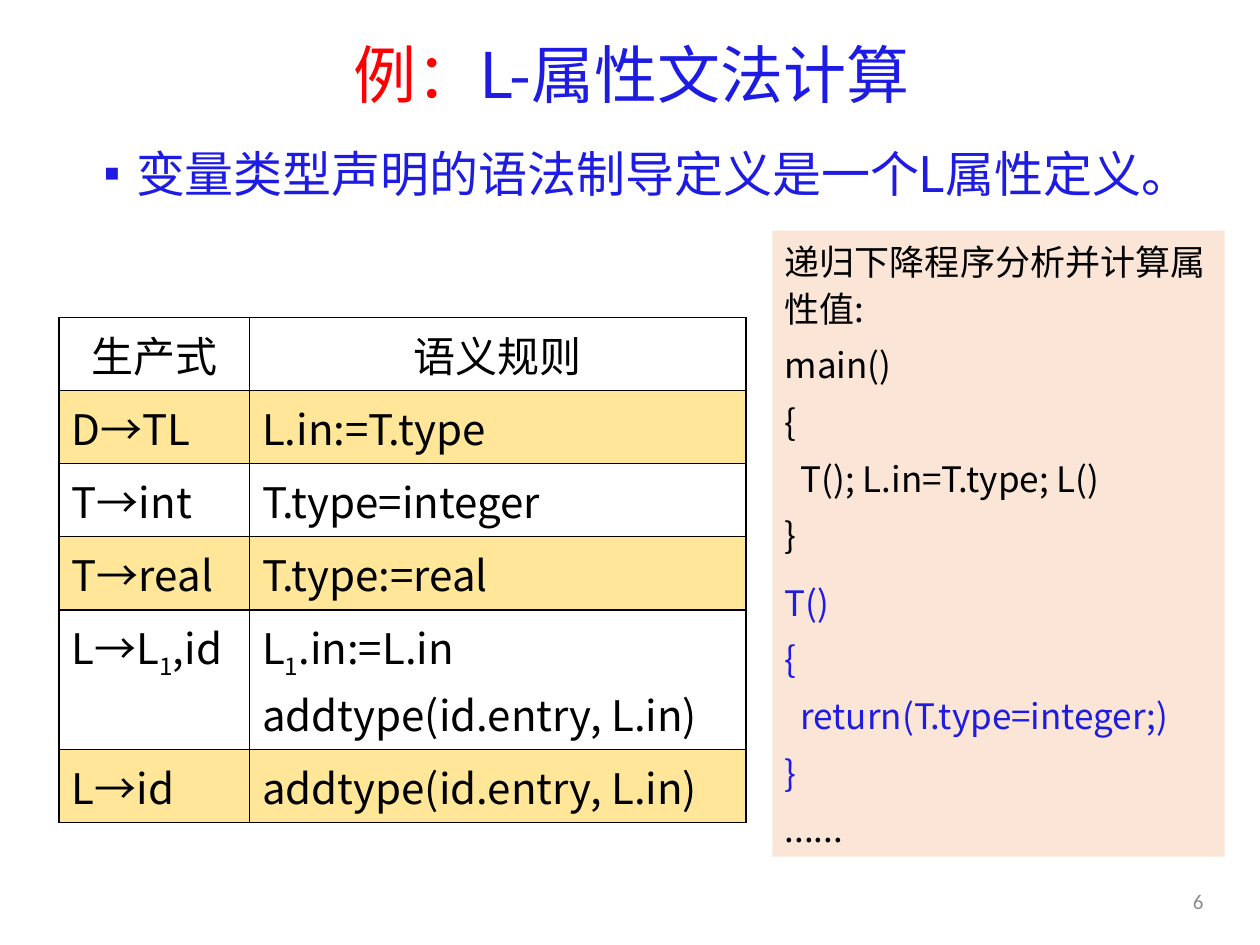
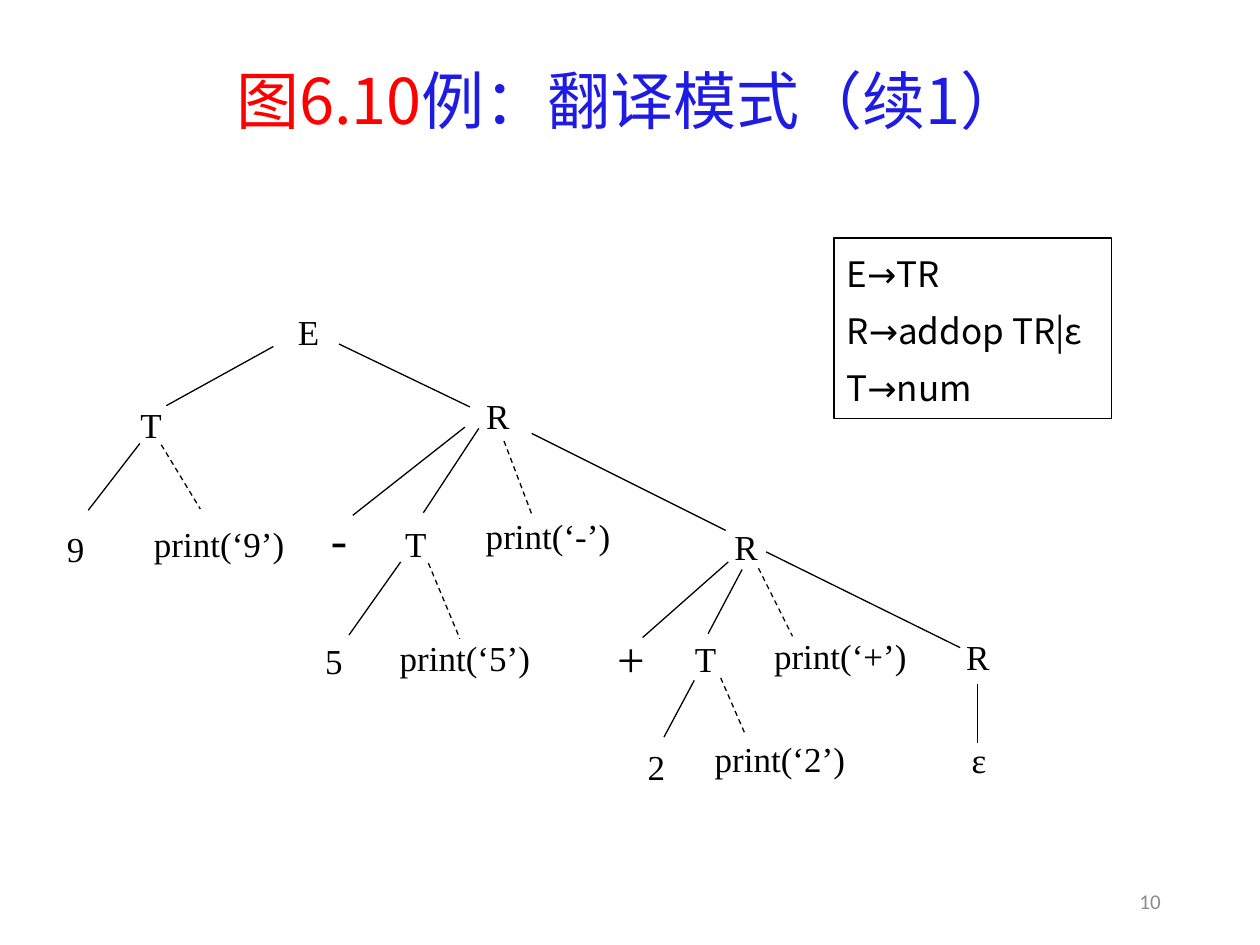
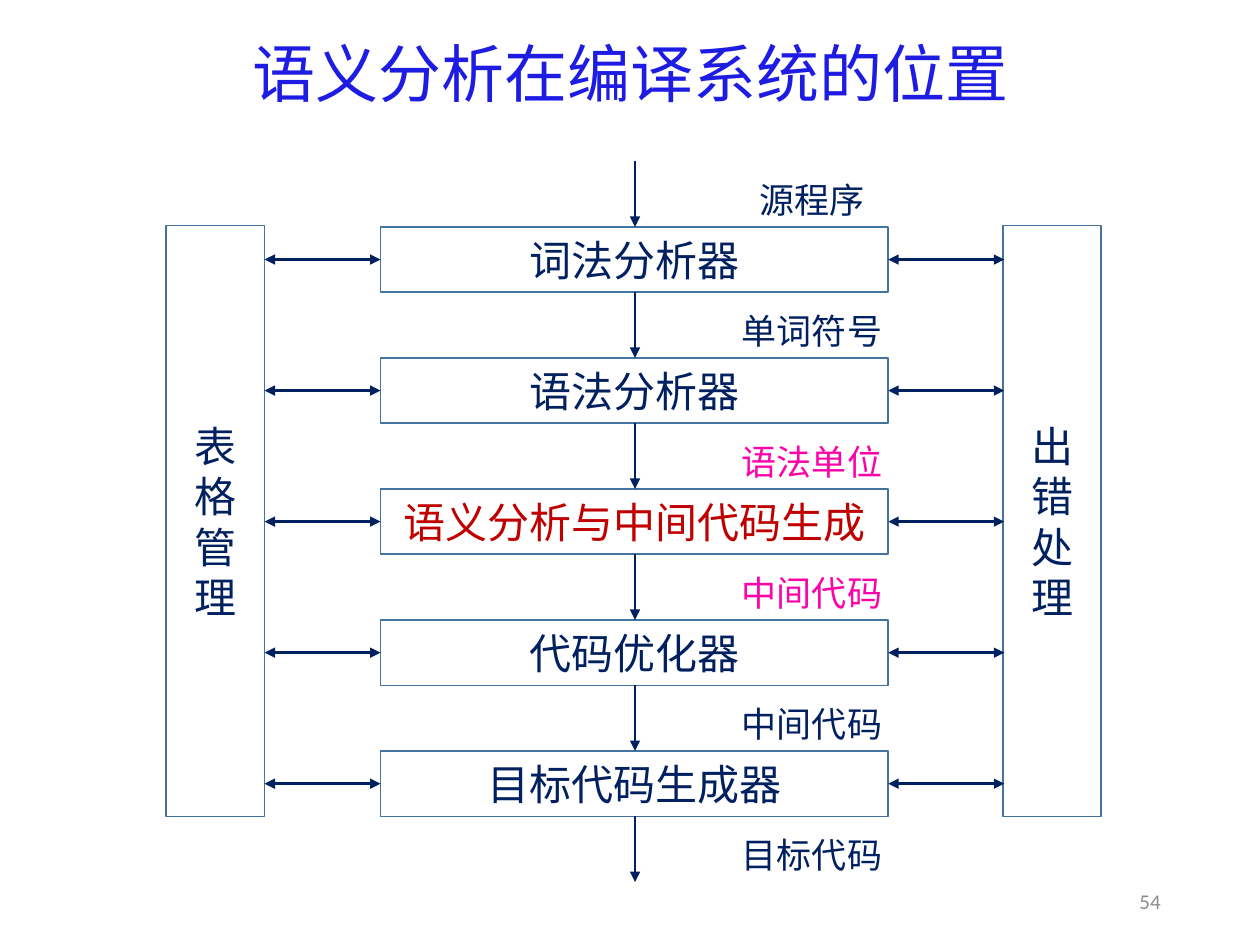
from lxml.etree import SubElement
from pptx import Presentation
from pptx.dml.color import RGBColor
from pptx.enum.dml import MSO_LINE
from pptx.enum.shapes import MSO_CONNECTOR, MSO_SHAPE
from pptx.enum.text import MSO_ANCHOR as ANCHOR, MSO_AUTO_SIZE, PP_ALIGN as ALIGN
from pptx.oxml.ns import qn
from pptx.util import Inches, Pt

# Shared style
BLUE, RED, BLACK, GRAY = "1E1CE3", "FF0000", "000000", "8C8C8C"
NAVY, DARK_RED, PINK, STEEL = "002060", "C00000", "FC02A9", "43739E"
YELLOW, PEACH = "FFE699", "FBE5D6"
HEADING, BODY, SERIF, NUMBER = ("Noto Sans CJK JP", "Noto Sans CJK SC",
                                "Times New Roman", "Calibri")
ARROW_FONT = "Comic Neue"
TITLE_AND_BODY, TITLE_ONLY = 1, 5


def rgb(color):
    return RGBColor.from_string(color)


def set_font(font, size=None, face=None, color=None):
    if size:
        font.size = Pt(size)
    if color:
        font.color.rgb = rgb(color)
    if face:
        font.name = face
        SubElement(font._rPr, qn("a:ea")).set("typeface", face)


def write(frame, lines, size, face, color=BLACK, align=ALIGN.LEFT,
          spacing=None, after=0, bullet=None):
    """Fill a frame; a line is a string or a list of (text, font options)."""
    for index, line in enumerate(lines):
        paragraph = frame.add_paragraph() if index else frame.paragraphs[0]
        paragraph.alignment = align
        paragraph.space_before = Pt(0)
        paragraph.space_after = Pt(after)
        if spacing:
            paragraph.line_spacing = spacing
        if bullet:
            add_bullet(paragraph, bullet)
        set_font(paragraph.font, size, face, color)
        for text, options in [(line, {})] if isinstance(line, str) else line:
            run = paragraph.add_run()
            run.text = text
            set_font(run.font, **options)


def add_bullet(paragraph, character):
    properties = paragraph._p.get_or_add_pPr()
    properties.set("marL", str(Inches(0.25)))
    properties.set("indent", str(-Inches(0.25)))
    SubElement(properties, qn("a:buSzPct")).set("val", "50000")
    SubElement(properties, qn("a:buChar")).set("char", character)


def place(shape, left, top, width, height):
    shape.left, shape.top = Inches(left), Inches(top)
    shape.width, shape.height = Inches(width), Inches(height)
    shape.text_frame.auto_size = MSO_AUTO_SIZE.NONE
    shape.text_frame.word_wrap = True


def add_slide(presentation, layout, title, box, number, number_right):
    """Start a slide with its title and page number."""
    slide = presentation.slides.add_slide(presentation.slide_layouts[layout])
    place(slide.shapes.title, *box)
    frame = slide.shapes.title.text_frame
    frame.vertical_anchor = ANCHOR.MIDDLE
    write(frame, [title], 36, HEADING, BLUE, ALIGN.CENTER, spacing=0.9)
    add_text(slide, (number_right - 0.58, 6.95, 0.58, 0.4), number, 12,
             NUMBER, GRAY, ALIGN.RIGHT)
    return slide


def add_text(slide, box, text, size, face, color=BLACK, align=ALIGN.CENTER,
             wrap=True):
    shape = slide.shapes.add_textbox(*map(Inches, box))
    frame = shape.text_frame
    frame.word_wrap = wrap
    frame.vertical_anchor = ANCHOR.MIDDLE
    write(frame, [text], size, face, color, align)


def add_box(slide, box, fill=None, line=None, line_width=1,
            anchor=ANCHOR.MIDDLE):
    """Add a rectangle and return its text frame."""
    shape = slide.shapes.add_shape(MSO_SHAPE.RECTANGLE, *map(Inches, box))
    shape.shadow.inherit = False
    if fill:
        shape.fill.solid()
        shape.fill.fore_color.rgb = rgb(fill)
    else:
        shape.fill.background()
    if line:
        shape.line.color.rgb = rgb(line)
        shape.line.width = Pt(line_width)
    else:
        shape.line.fill.background()
    frame = shape.text_frame
    frame.word_wrap = True
    frame.vertical_anchor = anchor
    return frame


def add_line(slide, start, end, color=BLACK, width=0.75, dashed=False,
             arrows=()):
    connector = slide.shapes.add_connector(
        MSO_CONNECTOR.STRAIGHT, *map(Inches, (*start, *end)))
    connector.line.color.rgb = rgb(color)
    connector.line.width = Pt(width)
    if dashed:
        connector.line.dash_style = MSO_LINE.DASH
    properties = connector._element.spPr
    for arrow in arrows:
        SubElement(properties.find(qn("a:ln")), qn("a:" + arrow)).set("type", "triangle")
    SubElement(properties, qn("a:effectLst"))


def set_cell(cell, lines, fill, align):
    write(cell.text_frame, lines, 24, BODY, align=align)
    properties = cell._tc.get_or_add_tcPr()
    for side in ("lnL", "lnR", "lnT", "lnB"):
        border = SubElement(properties, qn("a:" + side), w=str(Pt(1)))
        solid = SubElement(border, qn("a:solidFill"))
        SubElement(solid, qn("a:srgbClr")).set("val", BLACK)
    if fill:
        cell.fill.solid()
        cell.fill.fore_color.rgb = rgb(fill)
    else:
        cell.fill.background()


def add_rule_table(slide, rows):
    """Add the grammar table with every second row coloured."""
    table = slide.shapes.add_table(len(rows), 2, *map(Inches, (0.47, 2.52, 5.45, 4.01))).table
    table.first_row = table.horz_banding = False
    for column, width in zip(table.columns, (1.51, 3.94)):
        column.width = Inches(width)
    for index, row in enumerate(rows):
        line_count = max(map(len, row))
        table.rows[index].height = Inches(0.58 + 0.53 * (line_count - 1))
        for cell, lines in zip(table.rows[index].cells, row):
            set_cell(cell, lines, YELLOW if index % 2 else None,
                     ALIGN.LEFT if index else ALIGN.CENTER)
            for paragraph in cell.text_frame.paragraphs:
                lower_index(paragraph)


def lower_index(paragraph):
    """Turn the mark ₁ into a run with a lowered 1."""
    before, mark, after = paragraph.runs[0].text.partition("₁")
    if mark:
        paragraph.runs[0].text = before
        lowered, rest = paragraph.add_run(), paragraph.add_run()
        lowered.text, rest.text = "1", after
        lowered.font._rPr.set("baseline", "-25000")


def build_grammar_slide(presentation):
    title = [("例：", {"color": RED}), ("L-属性文法计算", {})]
    slide = add_slide(presentation, TITLE_AND_BODY, title,
                      (0.7, 0.09, 8.62, 1.06), "6", 9.65)
    body = slide.placeholders[1]
    place(body, 0.73, 1.09, 9.1, 0.77)
    write(body.text_frame, ["变量类型声明的语法制导定义是一个L属性定义。"],
          28, BODY, BLUE, after=6, bullet="■")
    add_rule_table(slide, [
        (["生产式"], ["语义规则"]),
        (["D→TL"], ["L.in:=T.type"]),
        (["T→int"], ["T.type=integer"]),
        (["T→real"], ["T.type:=real"]),
        (["L→L₁,id"], ["L₁.in:=L.in", "addtype(id.entry, L.in)"]),
        (["L→id"], ["addtype(id.entry, L.in)"]),
    ])

    # Recursive descent program
    blue = {"color": BLUE}
    main_code = ["递归下降程序分析并计算属性值:", "main()", "{",
                 "  T(); L.in=T.type; L()", "}"]
    type_code = ["T()", "{", "  return(T.type=integer;)", "}"]
    frame = add_box(slide, (6.13, 1.83, 3.59, 4.97), fill=PEACH, anchor=ANCHOR.TOP)
    write(frame, main_code + [[(text, blue)] for text in type_code] + ["......"],
          20, BODY, spacing=Pt(26.4), after=6)
    frame.paragraphs[len(main_code) - 1].space_after = Pt(12)


def build_tree_slide(presentation):
    title = [("图6.10", {"color": RED}), ("例：翻译模式（续1）", {})]
    slide = add_slide(presentation, TITLE_ONLY, title,
                      (0.69, 0.4, 8.62, 0.85), "10", 9.31)

    # Grammar
    rules = [("E", "TR"), ("R", "addop TR|ε"), ("T", "num")]
    frame = add_box(slide, (6.62, 1.89, 2.2, 1.43), line=BLACK, line_width=0.75)
    write(frame, [[(left, {}), ("→", {"face": ARROW_FONT}), (right, {})]
                  for left, right in rules],
          20, BODY, spacing=Pt(26.4), after=6)

    # Tree nodes: text and centre
    nodes = [
        ("E", 2.45, 2.63), ("T", 1.2, 3.37), ("R", 3.95, 3.3),
        ("9", 0.6, 4.35), ("print(‘9’)", 1.74, 4.31), ("-", 2.69, 4.27),
        ("T", 3.3, 4.31), ("print(‘-’)", 4.35, 4.25), ("R", 5.92, 4.34),
        ("5", 2.65, 5.24), ("print(‘5’)", 3.69, 5.22), ("+", 4.99, 5.22),
        ("T", 5.6, 5.23), ("print(‘+’)", 6.67, 5.2), ("R", 7.76, 5.21),
        ("2", 5.21, 6.08), ("print(‘2’)", 6.19, 6.02), ("ε", 7.77, 6.03),
    ]
    for text, x, y in nodes:
        width = 1.3 if len(text) > 1 else 0.38
        size, height = (28, 0.57) if text in "+-" else (20, 0.44)
        add_text(slide, (x - width / 2, y - height / 2, width, height),
                 text, size, SERIF, wrap=False)

    # Branches, and dashed links to the actions
    branches = [
        ((2.17, 2.75), (1.32, 3.22)), ((2.69, 2.73), (3.73, 3.23)),
        ((1.11, 3.52), (0.7, 4.05)), ((3.69, 3.39), (2.8, 4.09)),
        ((3.8, 3.4), (3.36, 4.07)), ((4.22, 3.44), (5.76, 4.21)),
        ((3.18, 4.46), (2.77, 5.04)), ((5.78, 4.46), (5.1, 5.06)),
        ((5.89, 4.52), (5.62, 5.03)), ((6.08, 4.38), (7.62, 5.14)),
        ((5.51, 5.4), (5.27, 5.85)), ((7.76, 5.43), (7.76, 5.9)),
    ]
    actions = [
        ((1.28, 3.53), (1.59, 4.04)), ((4, 3.5), (4.22, 4.08)),
        ((3.4, 4.47), (3.65, 5.07)), ((6.02, 4.51), (6.29, 5.05)),
        ((5.72, 5.38), (5.92, 5.84)),
    ]
    for start, end in branches:
        add_line(slide, start, end)
    for start, end in actions:
        add_line(slide, start, end, dashed=True)


def build_compiler_slide(presentation):
    slide = add_slide(presentation, TITLE_ONLY, "语义分析在编译系统的位置",
                      (0.69, 0.19, 8.62, 0.84), "54", 9.31)
    first_top, pitch, height = 1.8, 1.04, 0.52

    # Side panels
    for text, left in (("表格管理", 1.32), ("出错处理", 7.96)):
        frame = add_box(slide, (left, 1.79, 0.78, 4.69), line=STEEL)
        write(frame, [text], 24, BODY, NAVY, ALIGN.CENTER, spacing=Pt(28.8))

    # Stages, each tied to both panels
    stages = [("词法分析器", NAVY), ("语法分析器", NAVY),
              ("语义分析与中间代码生成", DARK_RED),
              ("代码优化器", NAVY), ("目标代码生成器", NAVY)]
    for index, (text, color) in enumerate(stages):
        top = first_top + index * pitch
        frame = add_box(slide, (3.02, top, 4.03, height), line=STEEL)
        write(frame, [text], 24, BODY, color, ALIGN.CENTER)
        middle = top + height / 2
        for left, right in ((2.1, 3.02), (7.05, 7.97)):
            add_line(slide, (left, middle), (right, middle), NAVY, 1.5,
                     arrows=("headEnd", "tailEnd"))

    # Data passed between the stages
    flows = [("源程序", NAVY), ("单词符号", NAVY), ("语法单位", PINK),
             ("中间代码", PINK), ("中间代码", NAVY), ("目标代码", NAVY)]
    for index, (text, color) in enumerate(flows):
        top = first_top + index * pitch
        add_line(slide, (5.04, top - 0.52), (5.04, top), NAVY, 1.5,
                 arrows=("tailEnd",))
        add_text(slide, (5.76, top - 0.48, 1.37, 0.52), text, 20, BODY, color)


def main():
    presentation = Presentation()
    presentation.slide_width, presentation.slide_height = Inches(10), Inches(7.5)
    build_grammar_slide(presentation)
    build_tree_slide(presentation)
    build_compiler_slide(presentation)
    presentation.save("out.pptx")


if __name__ == "__main__":
    main()
